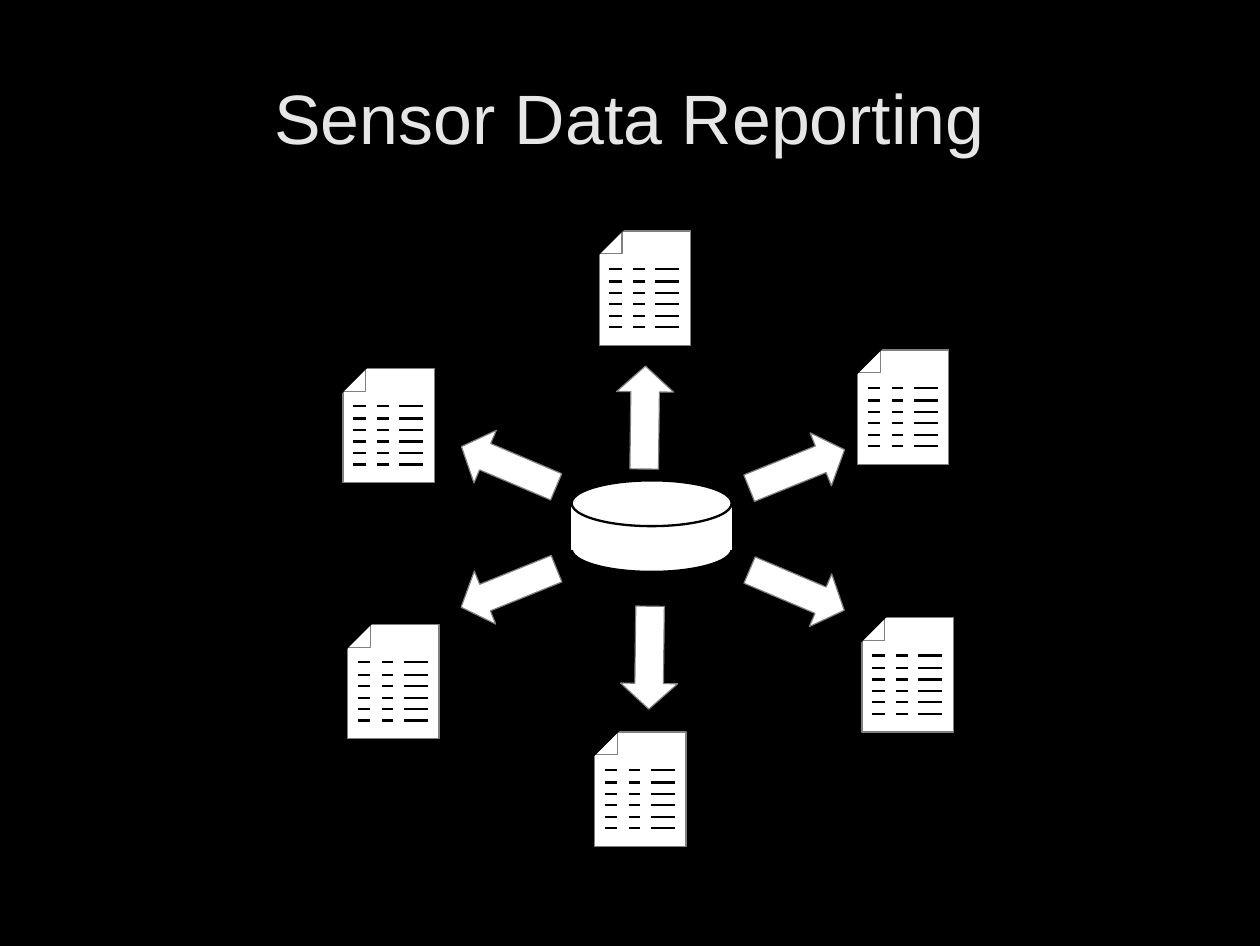
"""Build the Sensor Data Reporting slide: a data store feeding six reports."""
from lxml import etree
from pptx import Presentation
from pptx import util as u
from pptx.dml.color import RGBColor
from pptx.enum import shapes, text
from pptx.oxml import ns

BLACK = RGBColor(0x00, 0x00, 0x00)
WHITE = RGBColor(0xFF, 0xFF, 0xFF)
GREY = RGBColor(0x80, 0x80, 0x80)
PALE = RGBColor(0xE6, 0xE6, 0xE6)

SLIDE_SIZE = (11.02, 8.27)
TITLE = "Sensor Data Reporting"
TITLE_BOX = (0.55, 0.33, 9.92, 1.38)
TITLE_FRAME = {
    "word_wrap": True,
    "vertical_anchor": text.MSO_ANCHOR.MIDDLE,
    "margin_left": 0,
    "margin_right": 0,
    "margin_top": 0,
    "margin_bottom": 0,
}
TITLE_FONT = {"name": "Arial", "size": u.Pt(44)}

RECT = shapes.MSO_SHAPE.RECTANGLE
OVAL = shapes.MSO_SHAPE.OVAL
ARROW = shapes.MSO_SHAPE.RIGHT_ARROW
STROKE = 1.45

STORE_LEFT, STORE_TOP = 5, 4.2
STORE_SIZE = (1.4, 0.4)
STORE_STEP = 0.2
STORE_PARTS = [(2, OVAL, BLACK, STROKE), (1, RECT, WHITE, 0), (0, OVAL, BLACK, STROKE)]

REPORTS = [(3.04, 5.46), (7.54, 5.4), (5.2, 6.4), (7.5, 3.06), (5.24, 2.02), (3, 3.22)]
REPORT_PARTS = [
    ((0, 0, 0.8, 1), 0, WHITE, GREY),
    ((0, 0, 0.2, 0.2), 0, WHITE, GREY),
    ((-0.09, -0.15, 0.2, 0.4), 45, BLACK, BLACK),
]
COLUMNS = [(0.09, 0.2), (0.3, 0.4), (0.49, 0.7)]
ROWS = [0.33] + [0.44 + 0.1 * step for step in range(5)]

ARROW_SIZE = (0.9, 0.5)
ARROW_ADJUSTMENTS = (0.5, 0.45)
ARROWS = [
    (4, 3.83, 203),
    (6.52, 3.85, 338),
    (6.52, 4.91, 23),
    (4, 4.89, 158),
    (5.23, 5.5, 90.7),
    (5.19, 3.4, 270.7),
]


def inches(values):
    return [u.Inches(value) for value in values]


def add_solid(parent, preset, box, fill, outline, width=0, rotation=0):
    solid = parent.add_shape(preset, *inches(box))
    solid.shadow.inherit = False
    solid.fill.solid()
    solid.fill.fore_color.rgb = fill
    solid.line.color.rgb = outline
    solid.line.width = u.Pt(width)
    solid.rotation = rotation
    return solid


def add_entry(parent, start, end, y):
    entry = parent.add_connector(shapes.MSO_CONNECTOR.STRAIGHT, *inches((start, y, end, y)))
    entry.line.color.rgb = BLACK
    entry.line.width = u.Pt(STROKE)
    etree.SubElement(entry._element.spPr, ns.qn("a:effectLst"))


def add_title(slide):
    frame = slide.shapes.add_textbox(*inches(TITLE_BOX)).text_frame
    for name, value in TITLE_FRAME.items():
        setattr(frame, name, value)
    heading = frame.paragraphs[0]
    heading.alignment = text.PP_ALIGN.CENTER
    words = heading.add_run()
    words.text = TITLE
    for name, value in TITLE_FONT.items():
        setattr(words.font, name, value)
    words.font.color.rgb = PALE


def add_store(slide):
    store = slide.shapes.add_group_shape().shapes
    for level, preset, outline, width in STORE_PARTS:
        box = (STORE_LEFT, STORE_TOP + level * STORE_STEP, *STORE_SIZE)
        add_solid(store, preset, box, WHITE, outline, width)


def add_report(slide, left, top):
    report = slide.shapes.add_group_shape().shapes
    for (dx, dy, width, height), rotation, fill, outline in REPORT_PARTS:
        box = (left + dx, top + dy, width, height)
        add_solid(report, RECT, box, fill, outline, rotation=rotation)
    for start, end in COLUMNS:
        for row in ROWS:
            add_entry(report, left + start, left + end, top + row)


def add_arrow(slide, left, top, rotation):
    arrow = add_solid(slide.shapes, ARROW, (left, top, *ARROW_SIZE), WHITE, GREY, rotation=rotation)
    for index, value in enumerate(ARROW_ADJUSTMENTS):
        arrow.adjustments[index] = value


def main():
    deck = Presentation()
    deck.slide_width, deck.slide_height = inches(SLIDE_SIZE)
    slide = deck.slides.add_slide(deck.slide_layouts[6])
    slide.background.fill.solid()
    slide.background.fill.fore_color.rgb = BLACK
    add_title(slide)
    add_store(slide)
    for report in REPORTS:
        add_report(slide, *report)
    for arrow in ARROWS:
        add_arrow(slide, *arrow)
    deck.save("out.pptx")


if __name__ == "__main__":
    main()
